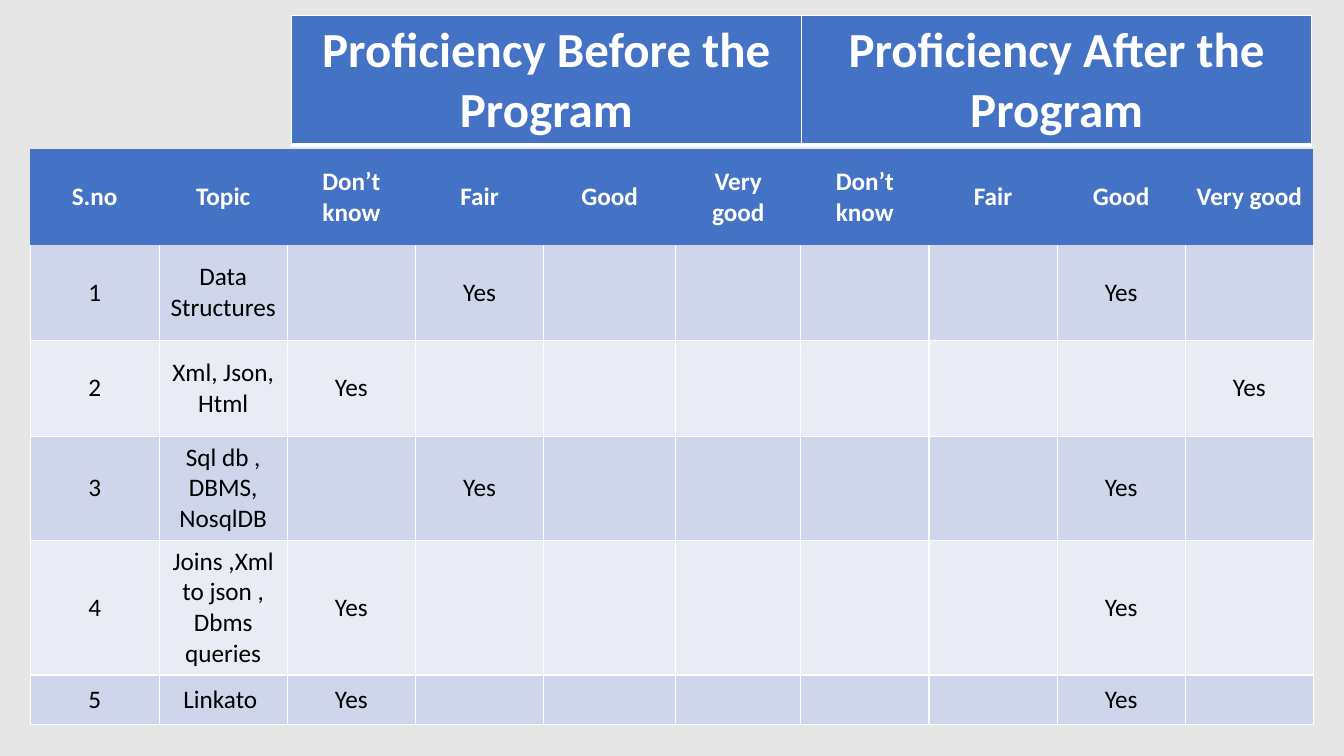
from dataclasses import dataclass

import pptx
import pptx.dml.color
import pptx.enum.text
import pptx.oxml.ns
import pptx.util
from lxml import etree

Cm = pptx.util.Cm
Pt = pptx.util.Pt
FONT = "Calibri"
WHITE, BLACK, GREY, BLUE = "FFFFFF", "000000", "E7E6E6", "4472C4"
BANDS = ("CFD5EA", "E9EBF5")
PLAIN_STYLE = "{2D5ABB26-0587-4C30-8999-92F81FD0307C}"


@dataclass
class TableSpec:
    left: float
    top: float
    cols: list[float]
    rows: list[float]


@dataclass
class Topic:
    name: str
    before: str
    after: str


LEVELS = ["Don’t know", "Fair", "Good", "Very good"]
TOPICS = [
    Topic("Data Structures", "Fair", "Good"),
    Topic("Xml, Json, Html", "Don’t know", "Very good"),
    Topic("Sql db ,\nDBMS,\nNosqlDB", "Fair", "Good"),
    Topic("Joins ,Xml to json , Dbms queries", "Don’t know", "Good"),
    Topic("Linkato ", "Don’t know", "Good"),
]
GROUPS = ["Proficiency Before the Program", "Proficiency After the Program"]

SURVEY = TableSpec(0.76, 3.76, [3.25] + [3.23] * 3 + [3.23, 3.33, 3.15] + [3.23] * 4,
                   [2.41] * 3 + [2.62, 3.4, 1.24])
SURVEY.cols.pop(1)
TITLES = TableSpec(7.34, 0.39, [12.86] * 2, [2.95])


def rgb(color: str) -> pptx.dml.color.RGBColor:
    return pptx.dml.color.RGBColor.from_string(color)


def add_table(slide, spec: TableSpec):
    frame = slide.shapes.add_table(len(spec.rows), len(spec.cols), Cm(spec.left), Cm(spec.top),
                                   Cm(sum(spec.cols)), Cm(sum(spec.rows)))
    table = frame.table
    table.first_row = table.horz_banding = False
    table._tbl.tblPr.find(pptx.oxml.ns.qn("a:tableStyleId")).text = PLAIN_STYLE
    for col, width in zip(table.columns, spec.cols):
        col.width = Cm(width)
    for row, height in zip(table.rows, spec.rows):
        row.height = Cm(height)
    return table


def set_borders(cell, **widths: float) -> None:
    """Draw white borders; widths in points are keyed L, R, T, B, in that order."""
    tc_pr = cell._tc.get_or_add_tcPr()
    for side, width in widths.items():
        ln = etree.SubElement(tc_pr, pptx.oxml.ns.qn(f"a:ln{side}"), w=str(Pt(width)))
        fill = etree.SubElement(ln, pptx.oxml.ns.qn("a:solidFill"))
        etree.SubElement(fill, pptx.oxml.ns.qn("a:srgbClr"), val=WHITE)


def set_fill(cell, color: str) -> None:
    cell.fill.solid()
    cell.fill.fore_color.rgb = rgb(color)


def write(cell, text: str, *, size: float = 18, color: str = BLACK, bold: bool = False,
          anchor=pptx.enum.text.MSO_ANCHOR.MIDDLE) -> None:
    cell.vertical_anchor = anchor
    tf = cell.text_frame
    tf.text = text
    for p in tf.paragraphs:
        p.alignment = pptx.enum.text.PP_ALIGN.CENTER
        p.font.size = Pt(size)
        for r in p.runs:
            r.font.name = FONT
            r.font.size = Pt(size)
            r.font.bold = bold
            r.font.color.rgb = rgb(color)


def add_survey(slide) -> None:
    table = add_table(slide, SURVEY)

    # Header row
    for col, label in enumerate(["S.no", "Topic"] + LEVELS * 2):
        cell = table.cell(0, col)
        set_fill(cell, BLUE)
        write(cell, label, color=WHITE, bold=True)

    # One banded row per topic
    for row, topic in enumerate(TOPICS, start=1):
        marks = ["Yes" if level == answer else ""
                 for answer in (topic.before, topic.after) for level in LEVELS]
        for col, text in enumerate([str(row), topic.name] + marks):
            cell = table.cell(row, col)
            if row == 1:
                set_borders(cell, L=1, R=1, B=1)
            else:
                set_borders(cell, L=1, R=1, T=1, B=1)
            set_fill(cell, BANDS[(row - 1) % 2])
            write(cell, text)


def add_titles(slide) -> None:
    table = add_table(slide, TITLES)
    for col, title in enumerate(GROUPS):
        cell = table.cell(0, col)
        set_borders(cell, L=1, R=1, T=1, B=3)
        set_fill(cell, BLUE)
        write(cell, title, size=35, color=WHITE, bold=True,
              anchor=pptx.enum.text.MSO_ANCHOR.TOP)


def main() -> None:
    prs = pptx.Presentation()
    prs.slide_width, prs.slide_height = Cm(33.87), Cm(19.05)
    slide = prs.slides.add_slide(prs.slide_layouts[6])
    slide.background.fill.solid()
    slide.background.fill.fore_color.rgb = rgb(GREY)
    add_survey(slide)
    add_titles(slide)
    prs.save("out.pptx")


if __name__ == "__main__":
    main()
